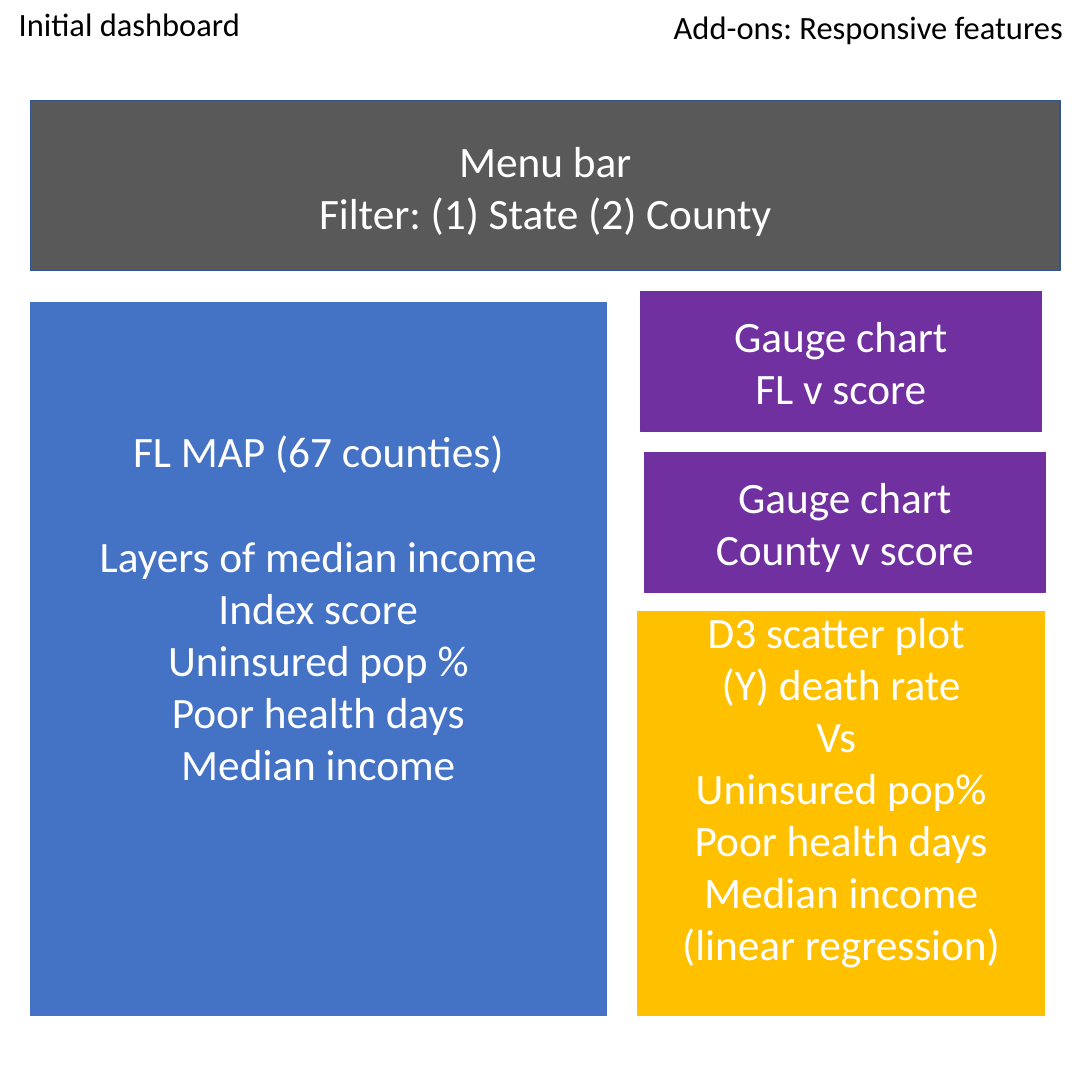
from pptx import Presentation
from pptx.dml.color import RGBColor
from pptx.enum.shapes import MSO_SHAPE
from pptx.enum.text import MSO_ANCHOR, MSO_AUTO_SIZE, PP_ALIGN
from pptx.util import Cm, Pt

RECTANGLE = MSO_SHAPE.RECTANGLE
MIDDLE = MSO_ANCHOR.MIDDLE
CENTER = PP_ALIGN.CENTER
LEFT = PP_ALIGN.LEFT
GROW = MSO_AUTO_SIZE.SHAPE_TO_FIT_TEXT

COLORS = {
    "gray": "595959", "navy": "325491", "blue": "4472C4", "gold": "FFC000",
    "purple": "7030A0", "white": "FFFFFF", "black": "000000",
}
FONT = "Calibri"
SIDE = 35.56  # square slide, cm
PANEL_SIZE, LABEL_SIZE = 40, 30
LINE_HEIGHT = 48.8  # one line of panel text, points
INSET = 0.13  # cm

# Panels: (left, top, width, height) in cm, fill, line, bottom inset in cm, text
PANELS = [
    ((0.99, 3.28, 33.53, 5.54), "gray", "navy", INSET,
     ["Menu bar", "Filter: (1) State (2) County"]),
    ((0.99, 9.86, 18.75, 23.22), "blue", "blue", 3.57,
     ["FL MAP (67 counties)", "Layers of median income", "Index score",
      "Uninsured pop %", "Poor health days", "Median income"]),
    ((20.75, 19.91, 13.28, 13.16), "gold", "gold", 1.85,
     ["D3 scatter plot ", "(Y) death rate", "Vs ", "Uninsured pop%",
      "Poor health days", "Median income (linear regression)"]),
    ((20.98, 14.73, 13.06, 4.55), "purple", "purple", INSET,
     ["Gauge chart", "County v score"]),
    ((20.85, 9.5, 13.06, 4.55), "purple", "purple", INSET,
     ["Gauge chart", "FL v score"]),
]
SPACED_HEADING = "FL MAP (67 counties)"  # followed by one line of space

# Labels: (left, top, width, height) in cm, wraps, text
LABELS = [
    ((0.36, 0, 7.8, 1.55), False, "Initial dashboard"),
    ((21.69, 0.1, 13.87, 1.55), True, "Add-ons: Responsive features"),
]


def color(name):
    return RGBColor.from_string(COLORS[name])


def write(frame, lines, size, color_name, alignment):
    frame.text = "\n".join(lines)
    for para in frame.paragraphs:
        para.alignment = alignment
        if para.text == SPACED_HEADING:
            para.space_after = Pt(LINE_HEIGHT)
        for span in para.runs:
            span.font.name = FONT
            span.font.size = Pt(size)
            span.font.color.rgb = color(color_name)


def add_panel(page, place, fill, line, bottom, lines):
    box = page.shapes.add_shape(RECTANGLE, *map(Cm, place))
    box.shadow.inherit = False
    box.fill.solid()
    box.fill.fore_color.rgb = color(fill)
    box.line.color.rgb = color(line)
    box.line.width = Pt(1)
    frame = box.text_frame
    frame.word_wrap = True
    frame.vertical_anchor = MIDDLE
    frame.margin_top, frame.margin_bottom = Cm(INSET), Cm(bottom)
    write(frame, lines, PANEL_SIZE, "white", CENTER)


def add_label(page, place, wraps, text):
    frame = page.shapes.add_textbox(*map(Cm, place)).text_frame
    frame.word_wrap = wraps
    frame.auto_size = GROW
    write(frame, [text], LABEL_SIZE, "black", LEFT)


def main():
    deck = Presentation()
    deck.slide_width = deck.slide_height = Cm(SIDE)
    page = deck.slides.add_slide(deck.slide_layouts[6])

    # Dashboard panels
    for panel in PANELS:
        add_panel(page, *panel)

    # Labels along the top edge
    for label in LABELS:
        add_label(page, *label)

    deck.save("out.pptx")


if __name__ == "__main__":
    main()
